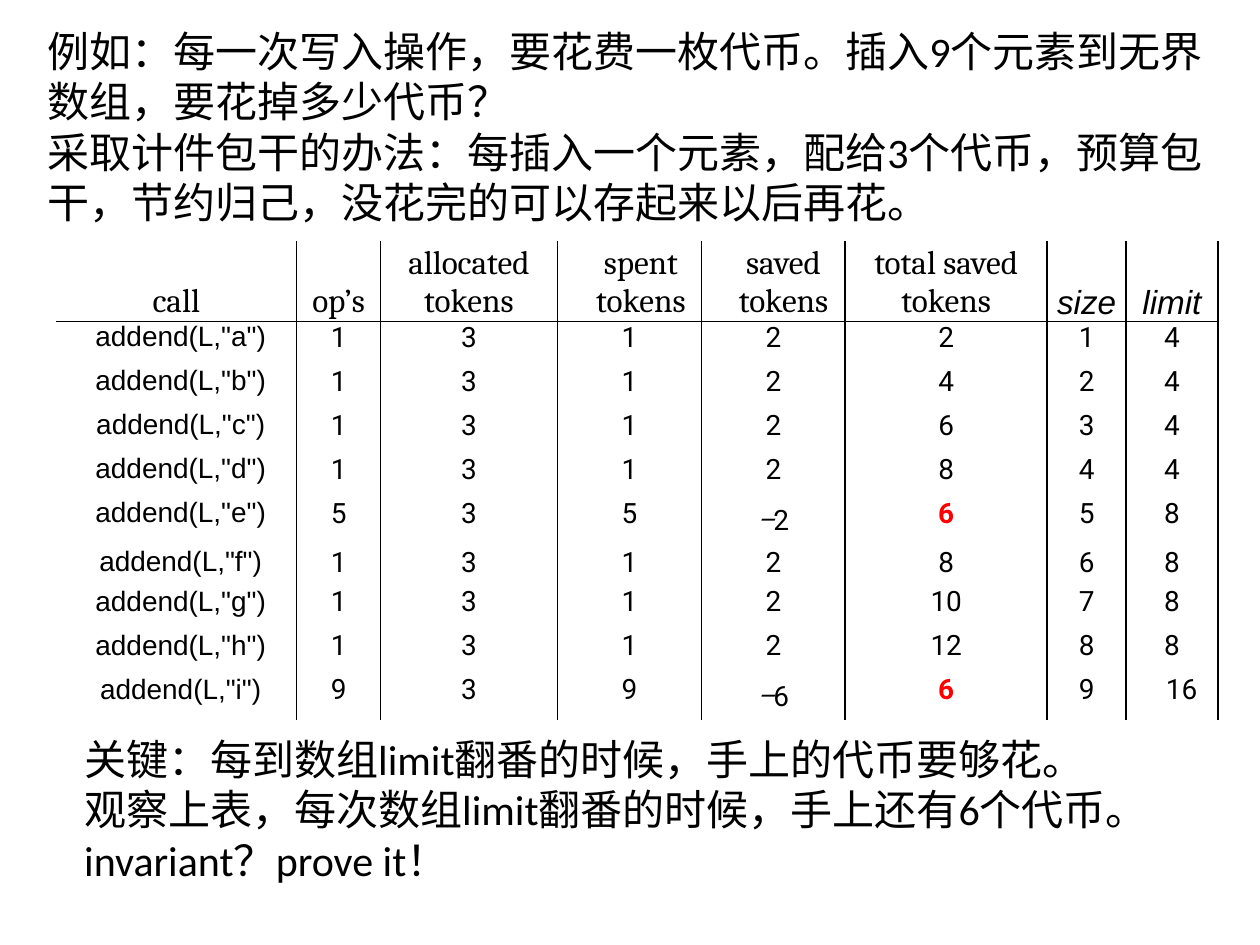
from itertools import accumulate

from lxml.etree import SubElement as add_element
from pptx import Presentation
from pptx.dml.color import RGBColor as Rgb
from pptx.enum.text import MSO_ANCHOR as Anchor, MSO_AUTO_SIZE as AutoSize, PP_ALIGN as Align
from pptx.oxml.ns import qn
from pptx.util import Pt

COLORS = {"text": "000000", "line": "000000", "warning": "FF0000"}
PLAIN_TABLE = "{2D5ABB26-0587-4C30-8999-92F81FD0307C}"

NOTE = {"name": "Calibri", "size": Pt(24)}
HEADER = {"name": "Cambria", "size": Pt(19)}
VARIABLE = {"name": "Arial", "size": Pt(19), "italic": True}
CALL = {"name": "Arial", "size": Pt(16)}
NUMBER = {"name": "Roboto", "size": Pt(16)}
MINUS = {"name": "Noto Sans CJK JP", "size": Pt(16), "italic": True}
BOLD_NUMBER = {**NUMBER, "bold": True}

EXAMPLE = [
    "例如：每一次写入操作，要花费一枚代币。插入9个元素到无界数组，要花掉多少代币？",
    "采取计件包干的办法：每插入一个元素，配给3个代币，预算包干，节约归己，没花完的可以存起来以后再花。",
]
CONCLUSION = [
    "关键：每到数组limit翻番的时候，手上的代币要够花。",
    "观察上表，每次数组limit翻番的时候，手上还有6个代币。",
    "invariant？prove it！",
]

HEADINGS = [
    (["call"], HEADER, (0, 0)),
    (["op’s"], HEADER, (0, 0)),
    (["allocated", "tokens"], HEADER, (0, 0)),
    (["spent", "tokens"], HEADER, (10, 3)),
    (["saved", "tokens"], HEADER, (10, 1.5)),
    (["total saved", "tokens"], HEADER, (0, 0)),
    (["size"], VARIABLE, (0, 0)),
    (["limit"], VARIABLE, (0, 0)),
]
COLUMN_WIDTHS = [137.5, 48, 101, 82.5, 82, 115.5, 45, 52.5]
ROW_HEIGHTS = [45, 25.2, 25.2, 25.2, 25.2, 28, 22.4, 25.2, 25.2, 26]

ALLOCATED = 3
COSTS = [1, 1, 1, 1, 5, 1, 1, 1, 9]
LIMITS = [4] * 4 + [8] * 4 + [16]


def add_span(para, text, style, color="text"):
    span = para.add_run()
    span.text = text
    for name, value in style.items():
        setattr(span.font, name, value)
    span.font.color.rgb = Rgb.from_string(COLORS[color])


def add_note(page, lines, left, top, width, height):
    box = page.shapes.add_textbox(Pt(left), Pt(top), Pt(width), Pt(height))
    frame = box.text_frame
    frame.word_wrap = True
    frame.auto_size = AutoSize.SHAPE_TO_FIT_TEXT
    for index, line in enumerate(lines):
        para = frame.add_paragraph() if index else frame.paragraphs[0]
        add_span(para, line, NOTE)


def add_borders(cell, sides):
    properties = cell._tc.get_or_add_tcPr()
    for side in "LRTB":
        line = add_element(properties, qn(f"a:ln{side}"), w=str(Pt(1)))
        if side in sides:
            fill = add_element(line, qn("a:solidFill"))
            add_element(fill, qn("a:srgbClr"), val=COLORS["line"])
        else:
            add_element(line, qn("a:noFill"))


def format_cell(cell, sides, anchor):
    add_borders(cell, sides)
    cell.fill.background()
    cell.vertical_anchor = anchor
    for side in ("left", "right", "top", "bottom"):
        setattr(cell, f"margin_{side}", 0)


def center(para, left=0, first=0):
    para.alignment = Align.CENTER
    if left:
        properties = para._p.get_or_add_pPr()
        properties.set("marL", str(Pt(left)))
        properties.set("indent", str(Pt(first)))


def fill_heading(cell, lines, style, indent):
    for index, line in enumerate(lines):
        para = cell.text_frame.add_paragraph() if index else cell.text_frame.paragraphs[0]
        center(para, *indent)
        add_span(para, line, style)


def fill_value(cell, value, style=NUMBER, color="text", left=0):
    para = cell.text_frame.paragraphs[0]
    center(para, left)
    if isinstance(value, int) and value < 0:
        add_span(para, "−", MINUS)
        value = -value
    add_span(para, str(value), style, color)


def fill_call(cells, size, cost, total, limit):
    saved = ALLOCATED - cost
    letter = "abcdefghi"[size - 1]
    fill_value(cells[0], f'addend(L,"{letter}")', CALL, left=5)
    for column, value in enumerate([cost, ALLOCATED, cost, saved], 1):
        fill_value(cells[column], value)
    if saved < 0:
        fill_value(cells[5], total, BOLD_NUMBER, "warning")
    else:
        fill_value(cells[5], total)
    fill_value(cells[6], size)
    fill_value(cells[7], limit, left=11 if limit > 9 else 0)


def add_token_table(page, left, top):
    frame = page.shapes.add_table(
        len(ROW_HEIGHTS), len(COLUMN_WIDTHS), Pt(left), Pt(top),
        Pt(sum(COLUMN_WIDTHS)), Pt(sum(ROW_HEIGHTS)),
    )
    table = frame.table
    table.first_row = table.horz_banding = False
    table._tbl.tblPr.find(qn("a:tableStyleId")).text = PLAIN_TABLE
    for column, width in zip(table.columns, COLUMN_WIDTHS):
        column.width = Pt(width)
    for index, (row, height) in enumerate(zip(table.rows, ROW_HEIGHTS)):
        row.height = Pt(height)
        edge = {0: "B", 1: "T"}.get(index, "")
        anchor = Anchor.TOP if index else Anchor.BOTTOM
        for column, cell in enumerate(row.cells):
            format_cell(cell, ("LR" if column else "R") + edge, anchor)

    header, *calls = [list(row.cells) for row in table.rows]
    for cell, heading in zip(header, HEADINGS):
        fill_heading(cell, *heading)
    totals = accumulate(ALLOCATED - cost for cost in COSTS)
    for size, (cells, *values) in enumerate(zip(calls, COSTS, totals, LIMITS), 1):
        fill_call(cells, size, *values)


def main():
    deck = Presentation()
    deck.slide_width, deck.slide_height = Pt(720), Pt(540)
    page = deck.slides.add_slide(deck.slide_layouts[6])
    add_note(page, EXAMPLE, 20, 11, 676, 124)
    add_token_table(page, 32, 138)
    add_note(page, CONCLUSION, 41, 415.5, 650, 94)
    deck.save("out.pptx")


if __name__ == "__main__":
    main()
